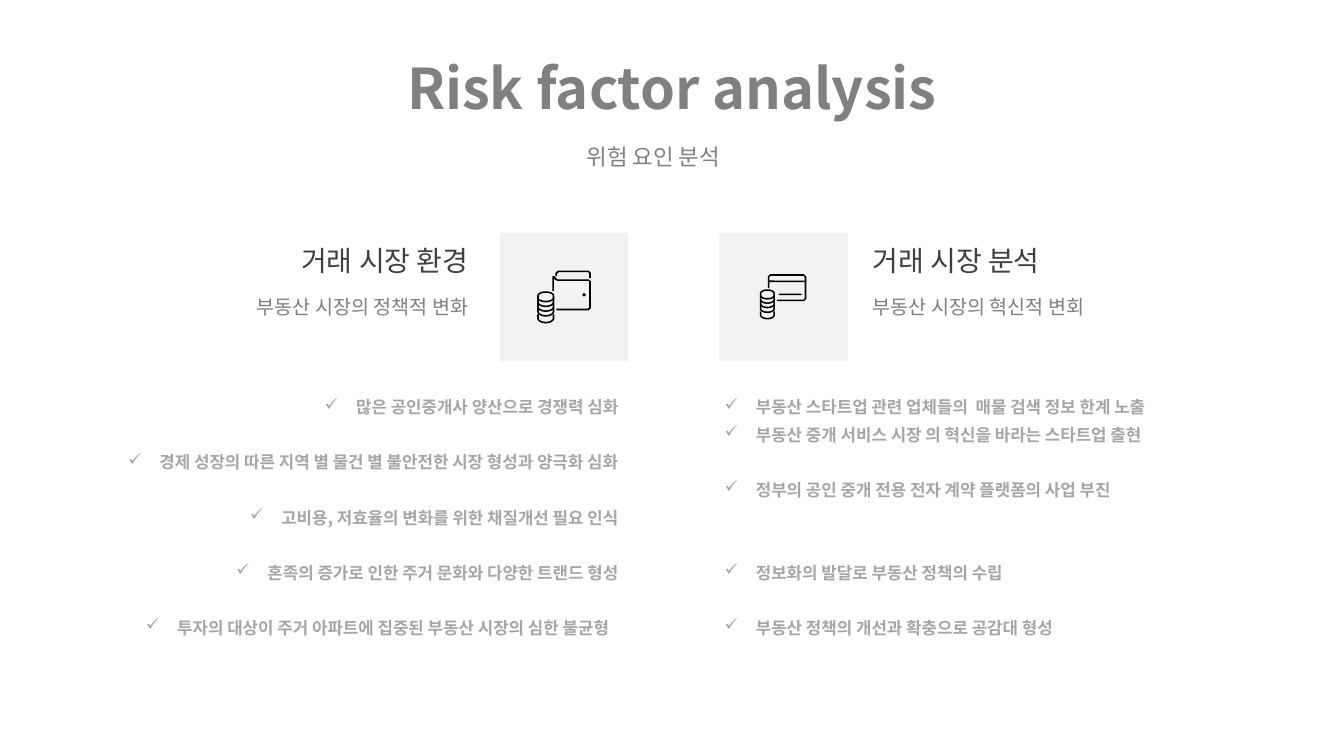
from math import cos, radians, sin

from lxml.etree import SubElement
from pptx import Presentation
from pptx.dml.color import RGBColor
from pptx.enum.shapes import MSO_SHAPE
from pptx.enum.text import MSO_ANCHOR, PP_ALIGN
from pptx.oxml.ns import qn
from pptx.util import Cm, Pt

FACE = "Noto Sans CJK KR"
GRAY, DARK, PALE, TILE, INK = "808080", "404040", "A6A6A6", "F2F2F2", "000000"
LEFT, MID, RIGHT = PP_ALIGN.LEFT, PP_ALIGN.CENTER, PP_ALIGN.RIGHT
WALL = 0.04
BASE, SKIP = 2.4, 19.7

RISKS = [
    ("많은 공인중개사 양산으로 경쟁력 심화", 0),
    ("경제 성장의 따른 지역 별 물건 별 불안전한 시장 형성과 양극화 심화", 1),
    ("고비용, 저효율의 변화를 위한 채질개선 필요 인식", 1),
    ("혼족의 증가로 인한 주거 문화와 다양한 트랜드 형성", 1),
    ("투자의 대상이 주거 아파트에 집중된 부동산 시장의 심한 불균형", 1),
]
TRENDS = [
    ("부동산 스타트업 관련 업체들의  매물 검색 정보 한계 노출", 0),
    ("부동산 중개 서비스 시장 의 혁신을 바라는 스타트업 출현", 0),
    ("정부의 공인 중개 전용 전자 계약 플랫폼의 사업 부진", 1),
    ("정보화의 발달로 부동산 정책의 수립", 2),
    ("부동산 정책의 개선과 확충으로 공감대 형성", 1),
]
FLAP = [(14.85, 7.01), (14.85, 6.89), (14.82, 6.86), (14.08, 6.86),
        (14.04, 6.9), (14.04, 6.96), (14, 6.96), (14, 6.88),
        (14.06, 6.82), (14.84, 6.82), (14.89, 6.87), (14.89, 7.01)]
PURSE = [(14.02, 7.78), (14.82, 7.78), (14.85, 7.75), (14.85, 7.08),
         (14.05, 7.08), (13.96, 7.03), (13.96, 7.34), (13.92, 7.34),
         (13.92, 6.96), (13.97, 6.96), (14.05, 7.04), (14.84, 7.04),
         (14.89, 7.09), (14.89, 7.77), (14.84, 7.82), (14.02, 7.82)]
CARD = [(19.58, 7.59), (19.58, 7.55), (20.25, 7.55), (20.28, 7.52),
        (20.28, 6.98), (20.25, 6.95), (19.42, 6.95), (19.39, 6.98),
        (19.39, 7.26), (19.35, 7.26), (19.35, 6.97), (19.41, 6.91),
        (20.26, 6.91), (20.32, 6.97), (20.32, 7.53), (20.26, 7.59)]


def hue(code):
    """Turn a hex string into a colour."""
    return RGBColor.from_string(code)


def style(para, size, code, align, bold=False):
    """Format a whole paragraph."""
    para.alignment = align
    font = para.font
    font.size, font.bold, font.name = Pt(size), bold, FACE
    font.color.rgb = hue(code)


def frame(slide, *box):
    """Add a wrapping text box and return its frame."""
    area = slide.shapes.add_textbox(*map(Cm, box)).text_frame
    area.word_wrap = True
    return area


def label(slide, text, box, size, code, align):
    """Add a one-line text."""
    para = frame(slide, *box).paragraphs[0]
    para.text = text
    style(para, size, code, align)


def checks(slide, left, items, align):
    """Add a list with check marks and return its paragraphs."""
    area = frame(slide, left, 9.78, 13, 7.16)
    for i, (text, gap) in enumerate(items):
        para = area.add_paragraph() if i else area.paragraphs[0]
        para.text = text
        props = para._p.get_or_add_pPr()
        props.set("marL", str(Cm(0.79)))
        props.set("indent", str(-Cm(0.79)))
        SubElement(props, qn("a:buChar")).set("char", "✓")
        para.line_spacing = 1.2
        para.space_before = Pt(BASE + gap * SKIP if i else 0)
        style(para, 12, PALE, align, True)
    return area.paragraphs


def paint(shape, code):
    """Give a shape a plain fill."""
    shape.shadow.inherit = False
    shape.fill.solid()
    shape.fill.fore_color.rgb = hue(code)
    shape.line.fill.background()


def block(slide, kind, box, code):
    """Add a filled preset shape."""
    paint(slide.shapes.add_shape(kind, *map(Cm, box)), code)


def trace(slide, *rings):
    """Draw closed rings as one ink shape."""
    rings = [[(Cm(x), Cm(y)) for x, y in ring] for ring in rings]
    pen = slide.shapes.build_freeform(*rings[0][0])
    pen.add_line_segments(rings[0][1:])
    for ring in rings[1:]:
        pen.move_to(*ring[0])
        pen.add_line_segments(ring[1:])
    paint(pen.convert_to_shape(), INK)


def arc(x, y, wide, high, start, stop):
    """List points on an elliptic arc."""
    turns = [radians(start + (stop - start) * i / 12) for i in range(13)]
    return [(x + wide * cos(t), y + high * sin(t)) for t in turns]


def rim(slide, x, y, wide, high):
    """Draw the lower edge of a coin."""
    mid, drop, half = x + wide / 2, y + high * 0.45, wide / 2
    tall = high * 0.55
    trace(slide, [(x, y), *arc(mid, drop, half, tall, 180, 0),
                  (x + wide, y), (x + wide - WALL, y),
                  *arc(mid, drop, half - WALL, tall - WALL, 0, 180),
                  (x + WALL, y)])


def disc(slide, x, y, wide, high):
    """Draw the top coin of a pile."""
    half, tall = wide / 2, high * 0.4
    rings = [arc(x + half, y + high - tall, half - cut, tall - cut, 0, 180)
             + arc(x + half, y + tall, half - cut, tall - cut, 180, 360)
             for cut in (0, WALL)]
    trace(slide, *rings)


def pile(slide, x, wide, high, rows, top, tall):
    """Draw a pile of coins."""
    for y in rows:
        rim(slide, x, y, wide, high)
    disc(slide, x, top, wide, tall)


def main():
    """Build the slide."""
    deck = Presentation()
    deck.slide_width, deck.slide_height = Cm(33.87), Cm(19.05)
    slide = deck.slides.add_slide(deck.slide_layouts[5])
    title = slide.shapes.title
    title.left, title.top, title.width, title.height = map(
        Cm, (2.25, 0.93, 29.36, 2.54))
    title.text_frame.text = "Risk factor analysis"
    title.text_frame.vertical_anchor = MSO_ANCHOR.MIDDLE
    style(title.text_frame.paragraphs[0], 40, GRAY, MID, True)
    label(slide, "위험 요인 분석", (3.63, 3.48, 25.68, 1.04), 16, GRAY, MID)

    heads = [
        ("거래 시장 환경", "부동산 시장의 정책적 변화", 2.92, 12.6, RIGHT),
        ("거래 시장 분석", "부동산 시장의 혁신적 변회", 21.74, 18.13, LEFT),
    ]
    for head, note, left, tile, align in heads:
        label(slide, note, (left, 7.31, 9.14, 0.86), 14, GRAY, align)
        label(slide, head, (left, 6.02, 9.14, 1.12), 20, DARK, align)
        block(slide, MSO_SHAPE.RECTANGLE, (tile, 5.87, 3.23, 3.23), TILE)

    last = checks(slide, 2.84, RISKS, RIGHT)[-1]
    last._p.pPr.set("marR", str(Cm(0.23)))
    checks(slide, 18.01, TRENDS, LEFT)

    trace(slide, FLAP)
    block(slide, MSO_SHAPE.OVAL, (14.68, 7.39, 0.08, 0.08), INK)
    trace(slide, PURSE)
    pile(slide, 13.54, 0.43, 0.23, (7.92, 7.75, 7.63, 7.51), 7.34, 0.28)
    trace(slide, CARD)
    for bar in ((19.37, 7.07, 0.95, WALL), (19.63, 7.4, 0.57, WALL)):
        block(slide, MSO_SHAPE.ROUNDED_RECTANGLE, bar, INK)
    pile(slide, 19.15, 0.38, 0.2, (7.85, 7.69, 7.57, 7.46), 7.29, 0.26)
    deck.save("out.pptx")


if __name__ == "__main__":
    main()
